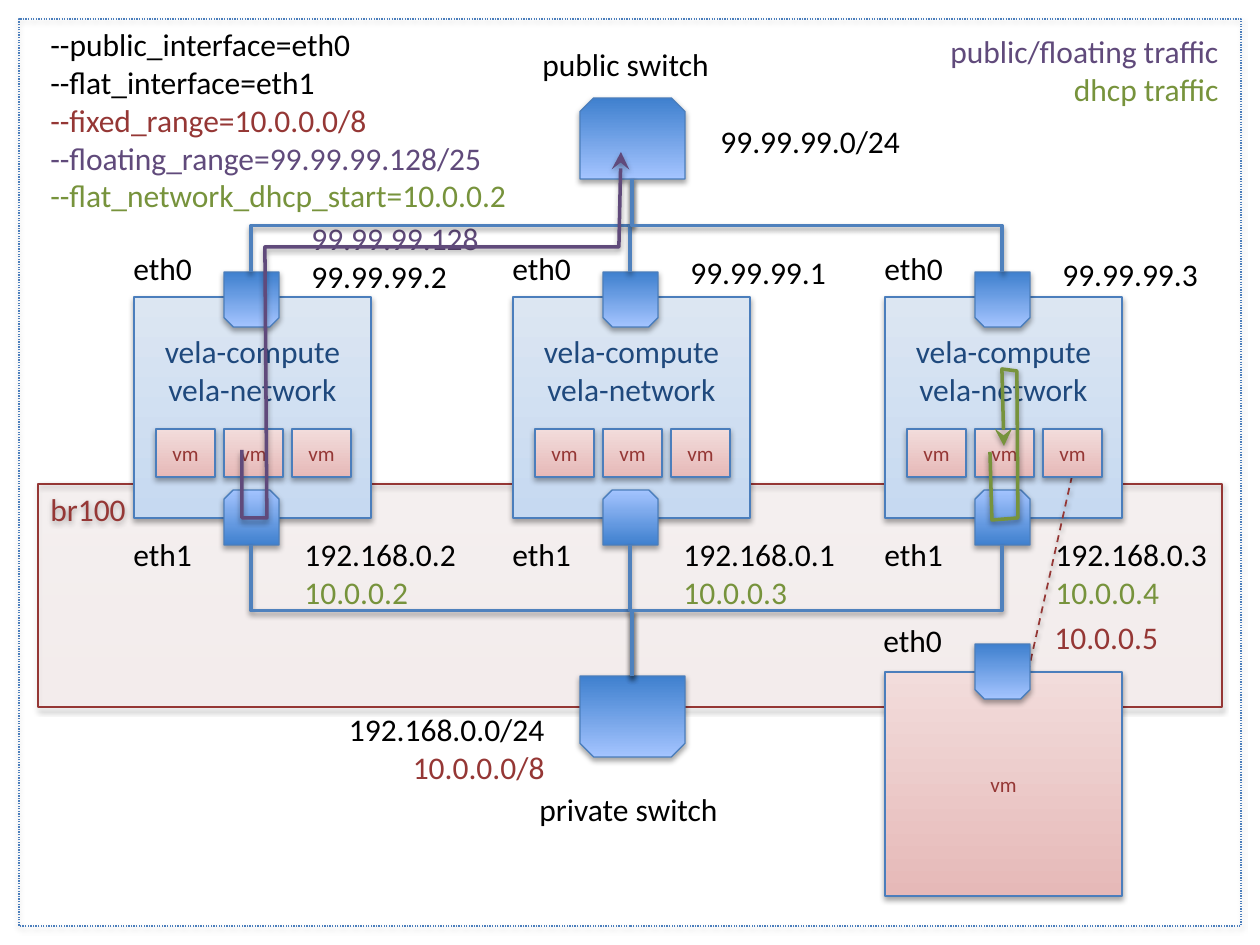
from dataclasses import dataclass

from lxml import etree
from pptx import Presentation
from pptx.dml.color import RGBColor
from pptx.enum.dml import MSO_LINE
from pptx.enum.shapes import MSO_CONNECTOR, MSO_SHAPE
from pptx.enum.text import MSO_ANCHOR, MSO_AUTO_SIZE, PP_ALIGN
from pptx.oxml.ns import qn
from pptx.util import Emu, Pt

RECT, SNIP = MSO_SHAPE.RECTANGLE, MSO_SHAPE.SNIP_2_SAME_RECTANGLE
STRAIGHT, ELBOW = MSO_CONNECTOR.STRAIGHT, MSO_CONNECTOR.ELBOW
LEFT, CENTER, RIGHT = PP_ALIGN.LEFT, PP_ALIGN.CENTER, PP_ALIGN.RIGHT
TOP, MIDDLE = MSO_ANCHOR.TOP, MSO_ANCHOR.MIDDLE
DASH, DOT = MSO_LINE.DASH, MSO_LINE.ROUND_DOT
SCALE = 914400 / 126
UP, DOWN = 90, 270


@dataclass(frozen=True)
class Theme:
    font: str = "Calibri"
    body: int = 18
    small: int = 12
    black: str = "000000"
    navy: str = "1F497D"
    red: str = "953735"
    purple: str = "604A7B"
    green: str = "77933C"
    border: str = "4B7EBC"
    wire: str = "4F81BD"
    host: tuple = ("C6D9F1", "DCE6F2")
    guest: tuple = ("E6B9B8", "F2DCDB")
    port: tuple = ("3F80CE", "A4C4FF")
    bridge: tuple = ("D99694", "E6B9B8")


THEME = Theme()


def px(length):
    return Emu(round(length * SCALE))


def write(para, text, *, size=THEME.body, color=THEME.black, align=LEFT):
    para.alignment = align
    span = para.add_run()
    span.text = text
    span.font.name = THEME.font
    span.font.size = Pt(size)
    span.font.color.rgb = RGBColor.from_string(color)


class Diagram:
    def __init__(self, slide, theme):
        self.slide = slide
        self.theme = theme

    def fill_text(self, frame, lines, **style):
        for index, (text, color) in enumerate(lines):
            para = frame.add_paragraph() if index else frame.paragraphs[0]
            write(para, text, color=color, **style)

    def outline(self, item, color, width, dash=None):
        item.line.color.rgb = RGBColor.from_string(color)
        item.line.width = Pt(width)
        if dash:
            item.line.dash_style = dash

    def shade(self, item, alpha=35, distance=23000):
        effects = etree.SubElement(item._element.spPr, qn("a:effectLst"))
        shadow = etree.SubElement(effects, qn("a:outerShdw"), blurRad="40000",
                                  dist=str(distance), dir="5400000", rotWithShape="0")
        tint = etree.SubElement(shadow, qn("a:srgbClr"), val=self.theme.black)
        etree.SubElement(tint, qn("a:alpha"), val=str(alpha * 1000))

    def block(self, left, top, width, height, colors=None, lines=(), *, kind=RECT, angle=UP,
              alpha=None, border=THEME.border, dash=None, anchor=MIDDLE, inset=6, **style):
        box = self.slide.shapes.add_shape(kind, px(left), px(top), px(width), px(height))
        if colors:
            box.fill.gradient()
            box.fill.gradient_angle = angle
            for stop, color in zip(box.fill.gradient_stops, colors):
                stop.color.rgb = RGBColor.from_string(color)
            if alpha:
                for tint in box._element.spPr.find(qn("a:gradFill")).iter(qn("a:srgbClr")):
                    etree.SubElement(tint, qn("a:alpha"), val=str(alpha * 1000))
        else:
            box.fill.background()
        self.outline(box, border, 0.75, dash)
        self.shade(box)
        box.text_frame.vertical_anchor = anchor
        box.text_frame.margin_top = px(inset)
        self.fill_text(box.text_frame, lines, **style)
        return box

    def port(self, left, top, width, height, *, snip_bottom=False, angle=DOWN):
        box = self.block(left, top, width, height, self.theme.port, kind=SNIP, angle=angle)
        if snip_bottom:
            box.adjustments[0], box.adjustments[1] = 0, 0.17

    def vm(self, left, top, width, height):
        self.block(left, top, width, height, self.theme.guest, [("vm", self.theme.red)],
                   size=self.theme.small, align=CENTER)

    def label(self, left, top, width, lines, *, wrap=True, align=LEFT):
        box = self.slide.shapes.add_textbox(px(left), px(top), px(width), px(12 + 38 * len(lines)))
        box.text_frame.word_wrap = wrap
        box.text_frame.auto_size = MSO_AUTO_SIZE.SHAPE_TO_FIT_TEXT
        self.fill_text(box.text_frame, lines, align=align)

    def connect(self, kind, start, end, color, width, dash=None):
        line = self.slide.shapes.add_connector(kind, *map(px, start + end))
        self.outline(line, color, width, dash)
        self.shade(line, 38, 20000)
        return line

    def wire(self, start, end):
        (x1, y1), (x2, y2) = start, end
        middle_x, middle_y = (x1 + x2) / 2, (y1 + y2) / 2
        half_x, half_y = (x2 - x1) / 2, (y2 - y1) / 2
        line = self.connect(ELBOW, (middle_x - half_y, middle_y + half_x),
                            (middle_x + half_y, middle_y - half_x), self.theme.wire, 2)
        line._element.spPr.find(qn("a:xfrm")).set("rot", "5400000")

    def route(self, points, color):
        builder = self.slide.shapes.build_freeform(*points[0], scale=SCALE)
        builder.add_line_segments(points[1:], close=False)
        path = builder.convert_to_shape()
        path.fill.background()
        self.outline(path, color, 2)
        etree.SubElement(path._element.spPr.find(qn("a:ln")), qn("a:tailEnd"),
                         type="stealth", w="lg", len="lg")
        self.shade(path, 38, 20000)


def main():
    deck = Presentation()
    deck.slide_width, deck.slide_height = px(1260), px(945)
    theme = THEME
    black, red, purple, green = theme.black, theme.red, theme.purple, theme.green
    diagram = Diagram(deck.slides.add_slide(deck.slide_layouts[6]), theme)
    hosts = [
        (134, 213, [("99.99.99.128", purple), ("99.99.99.2", black)], "192.168.0.2", "10.0.0.2"),
        (513, 247, [("99.99.99.1", black)], "192.168.0.1", "10.0.0.3"),
        (885, 249, [("99.99.99.3", black)], "192.168.0.3", "10.0.0.4"),
    ]

    diagram.block(38, 484, 1184, 223, theme.bridge, [("br100", red)],
                  alpha=10, border=red, anchor=TOP)
    diagram.block(19, 19, 1222, 907, dash=DOT)
    for left, *_ in hosts:
        diagram.block(left, 297, 237, 221, theme.host,
                      [("vela-compute", theme.navy), ("vela-network", theme.navy)],
                      anchor=TOP, inset=35, align=CENTER)
    diagram.connect(STRAIGHT, (1072, 476), (1003, 784), red, 1, DASH)

    diagram.port(580, 98, 105, 81)
    diagram.port(580, 676, 105, 81, snip_bottom=True)
    for left, top, public, private, bridge in hosts:
        diagram.port(left + 90, 272, 55, 55, snip_bottom=True)
        diagram.port(left + 90, 490, 55, 55, angle=UP)
        for column in range(3):
            diagram.vm(left + 22 + 68 * column, 429, 59, 48)
        diagram.label(left - 13, 243, 94, [("eth0", black)])
        diagram.label(left - 13, 529, 94, [("eth1", black)])
        diagram.label(left + 165, top, 200, public)
        diagram.label(left + 158, 529, 180, [(private, black), (bridge, green)])

    diagram.vm(885, 672, 237, 224)
    diagram.port(975, 644, 55, 55, snip_bottom=True)
    diagram.label(871, 615, 94, [("eth0", black)])
    diagram.label(1042, 612, 180, [("10.0.0.5", red)])

    diagram.label(38, 19, 491, [
        ("--public_interface=eth0", black), ("--flat_interface=eth1", black),
        ("--fixed_range=10.0.0.0/8", red), ("--floating_range=99.99.99.128/25", purple),
        ("--flat_network_dhcp_start=10.0.0.2", green)])
    diagram.label(530, 39, 226, [("public switch", black)])
    diagram.label(527, 784, 212, [("private switch", black)])
    diagram.label(708, 116, 208, [("99.99.99.0/24", black)], wrap=False)
    diagram.label(334, 704, 223, [("192.168.0.0/24", black), ("10.0.0.0/8", red)],
                  wrap=False, align=RIGHT)
    diagram.label(929, 26, 302, [("public/floating traffic", purple), ("dhcp traffic", green)],
                  align=RIGHT)

    for left, *_ in hosts:
        diagram.wire((632, 179), (left + 117, 272))
        diagram.wire((left + 117, 545), (632, 676))
    diagram.route([(242, 450), (242, 518), (267, 518), (265, 247), (619, 247), (621, 152)], purple)
    diagram.route([(990, 452), (992, 520), (1018, 518), (1017, 371), (1002, 369), (1004, 446)], green)
    deck.save("out.pptx")


if __name__ == "__main__":
    main()
